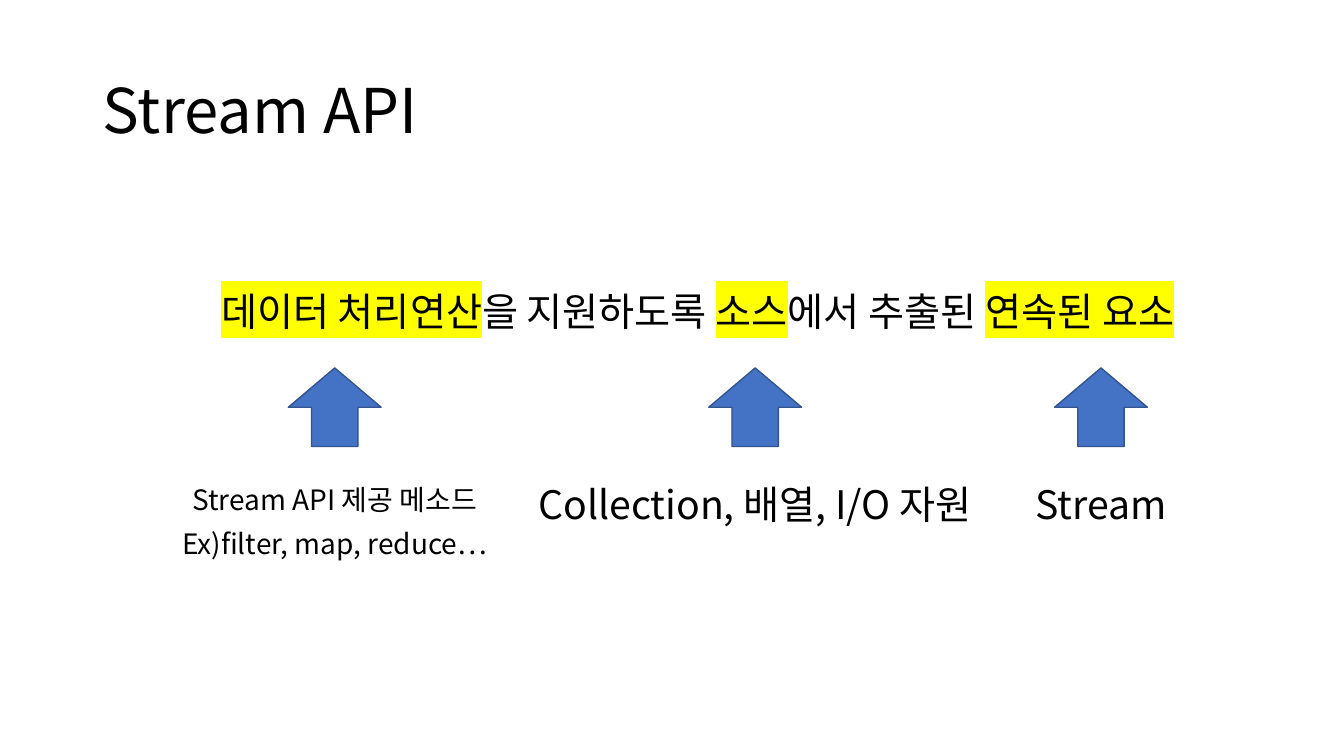
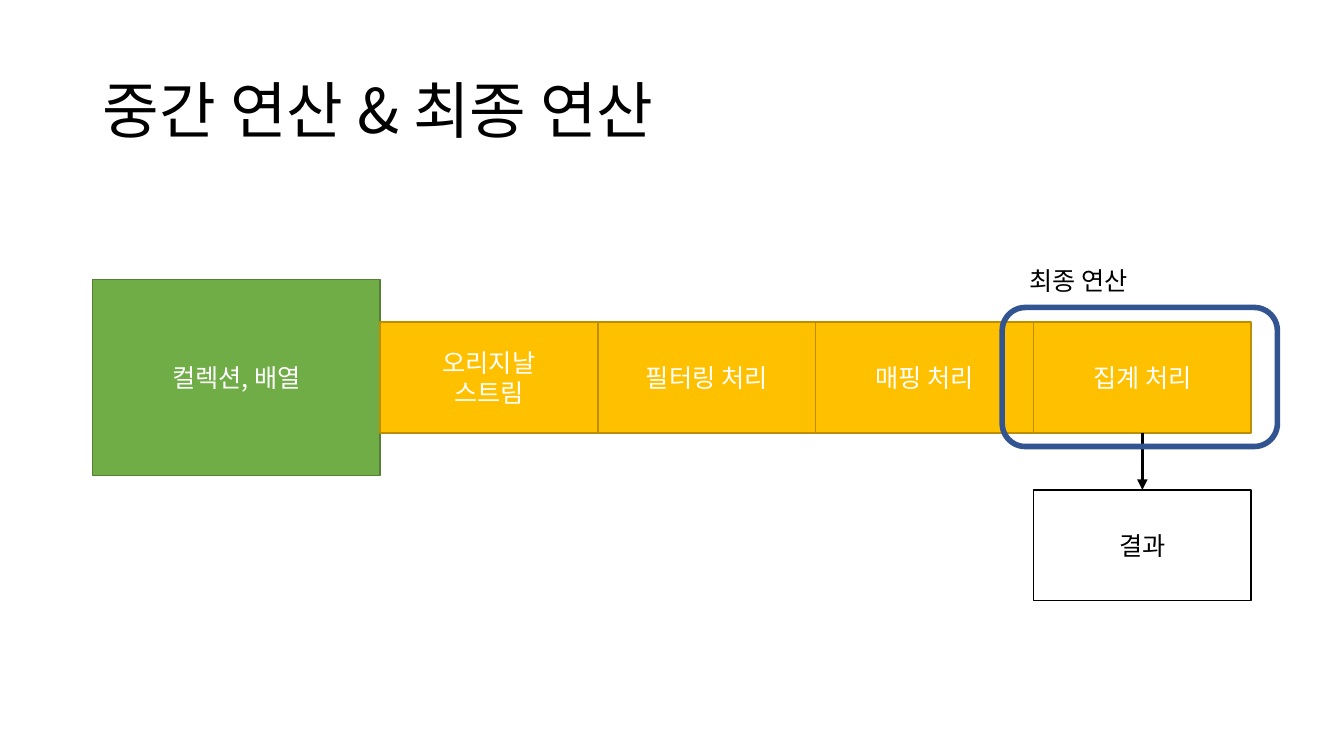
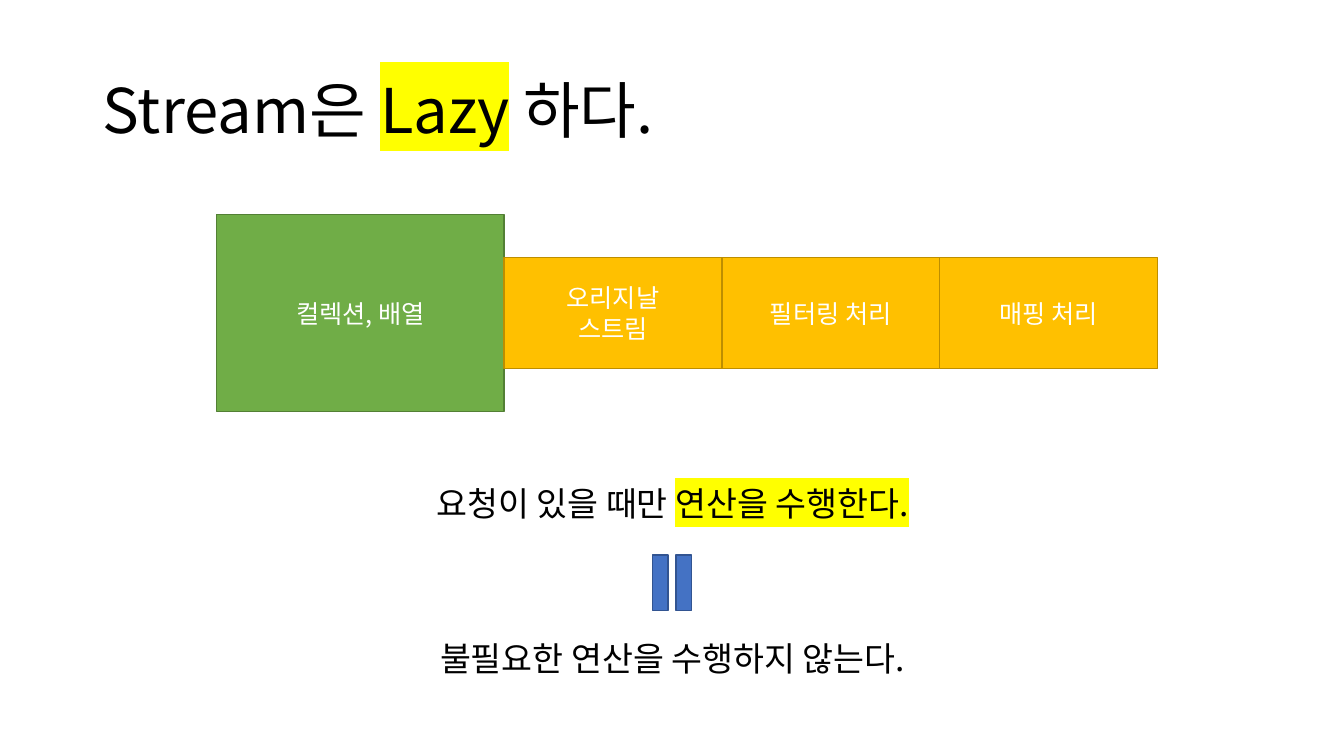
"""Build three slides that introduce the Stream API."""
from lxml.etree import SubElement
from pptx import Presentation
from pptx.dml.color import RGBColor
from pptx.enum.shapes import MSO_CONNECTOR, MSO_SHAPE as SHAPE
from pptx.enum.text import MSO_AUTO_SIZE as FIT, MSO_ANCHOR, PP_ALIGN as ALIGN
from pptx.oxml import parse_xml
from pptx.oxml.ns import nsdecls, qn
from pptx.util import Inches, Pt

FONT = "Noto Sans CJK KR"
BLACK, WHITE, YELLOW = "000000", "FFFFFF", "FFFF00"
BLUE, DARK_BLUE = "4472C4", "325491"
GREEN, DARK_GREEN = "70AD47", "538035"
GOLD, DARK_GOLD = "FFC000", "BD8E00"
LEFT, CONTENT_WIDTH = 0.92, 11.5
STAGE_WIDTH, STAGE_HEIGHT = 2.16, 1.1
SOURCE_WIDTH, SOURCE_HEIGHT = 2.85, 1.95


def write(frame, paragraphs, size, color=BLACK, align=ALIGN.CENTER, spacing=0.9, marked=()):
    """Fill a text frame run by run, highlighting the marked runs."""
    frame.word_wrap = True
    for index, runs in enumerate(paragraphs):
        paragraph = frame.add_paragraph() if index else frame.paragraphs[0]
        paragraph.alignment = align
        paragraph.line_spacing = spacing
        paragraph.space_before = Pt(10 if index and spacing < 1 else 0)
        for text in runs:
            run = paragraph.add_run()
            run.text = text
            run.font.size = Pt(size)
            run.font.name = FONT
            run.font.color.rgb = RGBColor.from_string(color)
            properties = run.font._element
            SubElement(properties, qn("a:ea"), typeface=FONT)
            if text in marked:
                properties.find(qn("a:latin")).addprevious(parse_xml(
                    f'<a:highlight {nsdecls("a")}><a:srgbClr val="{YELLOW}"/></a:highlight>'))


def draw(slide, kind, left, top, width, height, fill, line, weight=1):
    """Add a flat preset shape; without a fill it stays see-through."""
    shape = slide.shapes.add_shape(kind, Inches(left), Inches(top), Inches(width), Inches(height))
    shape.shadow.inherit = False
    if fill:
        shape.fill.solid()
        shape.fill.fore_color.rgb = RGBColor.from_string(fill)
    else:
        shape.fill.background()
    shape.line.color.rgb = RGBColor.from_string(line)
    shape.line.width = Pt(weight)
    return shape


prs = Presentation()
prs.slide_width, prs.slide_height = Inches(13.33), Inches(7.5)

slides = []
for layout, heading in (
    (1, ["Stream API"]),
    (5, ["중간 연산 & 최종 연산"]),
    (1, ["Stream은 ", "Lazy", " 하다."]),
):
    slide = prs.slides.add_slide(prs.slide_layouts[layout])
    title = slide.shapes.title
    title.left, title.top = Inches(LEFT), Inches(0.4)
    title.width, title.height = Inches(CONTENT_WIDTH), Inches(1.45)
    title.text_frame.vertical_anchor = MSO_ANCHOR.MIDDLE
    write(title.text_frame, [heading], 44, align=ALIGN.LEFT, marked=["Lazy"])
    slides.append(slide)
definition, operations, lazy = slides

for slide, left, top, size, sentence, marked in (
    (definition, 1.17, 2.85, 28,
     ["데이터 처리연산", "을 지원하도록 ", "소스", "에서 추출된 ", "연속된 요소"],
     ["데이터 처리연산", "소스", "연속된 요소"]),
    (lazy, LEFT, 4.79, 24, ["요청이 있을 때만 ", "연산을 수행한다."], ["연산을 수행한다."]),
):
    body = slide.placeholders[1]
    body.left, body.top = Inches(left), Inches(top)
    body.width, body.height = Inches(CONTENT_WIDTH), Inches(0.78)
    write(body.text_frame, [sentence], size, marked=marked)
    indent = body.text_frame.paragraphs[0]._p.get_or_add_pPr()
    indent.set("marL", "0")
    indent.set("indent", "0")
    SubElement(indent, qn("a:buNone"))

for center, width, size, explanation in (
    (7.49, 4.61, 28, [["Collection, 배열, I/O 자원"]]),
    (10.92, 1.68, 28, [["Stream"]]),
    (3.32, 4.16, 20, [["Stream API 제공 메소드"], ["Ex)filter, map, reduce…"]]),
):
    draw(definition, SHAPE.UP_ARROW, center - 0.46, 3.65, 0.92, 0.78, BLUE, DARK_BLUE)
    label = definition.shapes.add_textbox(
        Inches(center - width / 2), Inches(4.77), Inches(width), Inches(0.89))
    write(label.text_frame, explanation, size)
    label.text_frame.auto_size = FIT.TEXT_TO_FIT_SHAPE

stages = [[["오리지날"], ["스트림"]], [["필터링 처리"]], [["매핑 처리"]], [["집계 처리"]]]
stage_boxes = []
for slide, left, top, count in ((operations, LEFT, 2.77, 4), (lazy, 2.15, 2.13, 3)):
    source = draw(slide, SHAPE.RECTANGLE, left, top, SOURCE_WIDTH, SOURCE_HEIGHT, GREEN, DARK_GREEN)
    write(source.text_frame, [["컬렉션, 배열"]], 18, WHITE, spacing=1.0)
    stage_top = top + (SOURCE_HEIGHT - STAGE_HEIGHT) / 2
    for index, stage in enumerate(stages[:count]):
        stage_box = draw(slide, SHAPE.RECTANGLE, left + SOURCE_WIDTH + index * STAGE_WIDTH, stage_top,
                         STAGE_WIDTH, STAGE_HEIGHT, GOLD, DARK_GOLD)
        write(stage_box.text_frame, stage, 18, WHITE, spacing=1.0)
        stage_boxes.append(stage_box)

aggregation = stage_boxes[3]
result = draw(operations, SHAPE.RECTANGLE, LEFT + SOURCE_WIDTH + 3 * STAGE_WIDTH, 4.86,
              STAGE_WIDTH, STAGE_HEIGHT, WHITE, BLACK)
write(result.text_frame, [["결과"]], 18, spacing=1.0)

arrow = operations.shapes.add_connector(MSO_CONNECTOR.STRAIGHT, 0, 0, 0, 0)
arrow.begin_connect(aggregation, 2)
arrow.end_connect(result, 0)
arrow.line.color.rgb = RGBColor.from_string(BLACK)
arrow.line.width = Pt(2.5)
SubElement(arrow.line._get_or_add_ln(), qn("a:tailEnd"), type="triangle")
SubElement(arrow._element.spPr, qn("a:effectLst"))

draw(operations, SHAPE.ROUNDED_RECTANGLE, 9.94, 3.05, 2.73, 1.38, None, DARK_BLUE, 4)
final_label = operations.shapes.add_textbox(Inches(9.17), Inches(2.58), Inches(3.06), Inches(0.4))
write(final_label.text_frame, [["최종 연산"]], 18, spacing=1.0)
final_label.text_frame.auto_size = FIT.SHAPE_TO_FIT_TEXT

conclusion = lazy.shapes.add_textbox(
    Inches(LEFT), Inches(6.32), Inches(CONTENT_WIDTH), Inches(0.78))
write(conclusion.text_frame, [["불필요한 연산을 수행하지 않는다."]], 24)
equals = draw(lazy, SHAPE.MATH_EQUAL, 6.29, 5.45, 0.75, 0.66, BLUE, DARK_BLUE)
equals.rotation = 270

prs.save("out.pptx")
